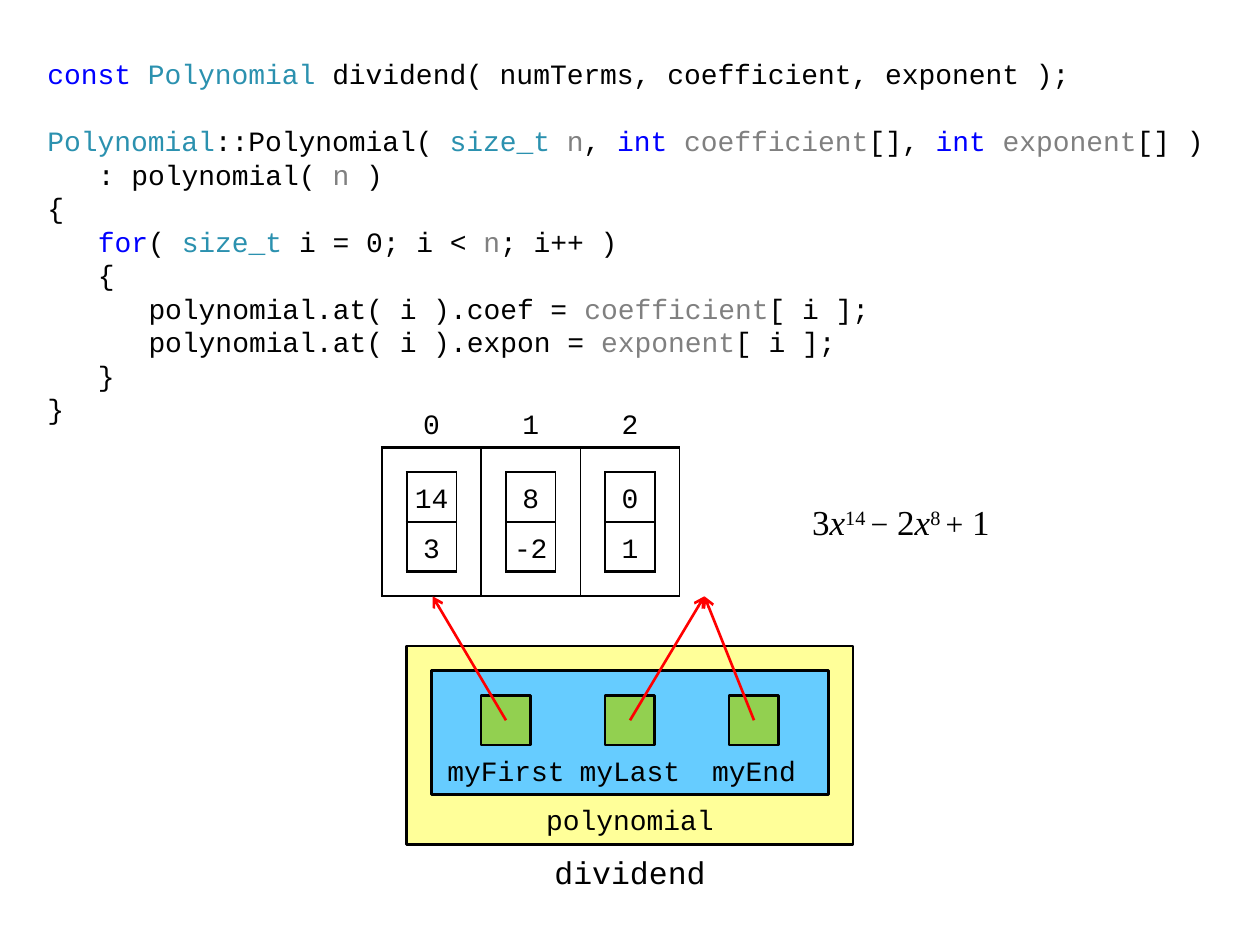
"""Build the slide that shows how a Polynomial object is constructed."""
from lxml import etree
from pptx import Presentation, util as u
from pptx.dml.color import RGBColor
from pptx.enum import shapes, text
from pptx.oxml import parse_xml
from pptx.oxml.ns import nsdecls, qn

PX = 7200
STEP = 25
THEME = {
    "ink": "000000", "keyword": "0000FF", "type": "2B91AF", "param": "808080",
    "object": "FFFF99", "vector": "66CCFF", "pointer": "92D050", "arrow": "FF0000",
    "code_font": "Courier New", "math_font": "Times New Roman",
    "code": 16, "name": 18, "math": 20, "code_line": 19.14, "line": 1.5, "thin": 1,
}
CENTER, RIGHT = text.PP_ALIGN.CENTER, text.PP_ALIGN.RIGHT
MIDDLE = text.MSO_ANCHOR.MIDDLE


def write(para, spans, size=THEME["code"], font=THEME["code_font"], **layout):
    """Add (text, colour role, extra font values) spans to a paragraph."""
    for key, value in layout.items():
        setattr(para, key, value)
    for words, role, extra in spans:
        span = para.add_run()
        span.text = words
        for key, value in {"name": font, "size": u.Pt(size), **extra}.items():
            setattr(span.font, key, value)
        span.font.color.rgb = RGBColor.from_string(THEME[role])
        if "italic" not in extra and font == THEME["math_font"]:
            span.font.italic = False


def add_grid(page, left, top, widths, heights, rows, borders):
    """Add a table whose cells take (text, {side: width}) pairs."""
    frame = page.shapes.add_table(len(heights), len(widths), left * PX, top * PX,
                                  sum(widths) * PX, sum(heights) * PX)
    grid = frame.table
    grid.first_row = grid.horz_banding = False
    for column, width in zip(grid.columns, widths):
        column.width = width * PX
    for row, height in zip(grid.rows, heights):
        row.height = height * PX
    for r, words in enumerate(rows):
        for c, word in enumerate(words):
            cell = grid.cell(r, c)
            for key in ("margin_left", "margin_right", "margin_top", "margin_bottom"):
                setattr(cell, key, 0)
            cell.vertical_anchor = MIDDLE
            spans = [(word, "ink", {})] if word else []
            write(cell.text_frame.paragraphs[0], spans, alignment=CENTER, line_spacing=1.25)
            props = cell._tc.get_or_add_tcPr()
            for side, points in zip("LRTB", borders[r][c]):
                paint = (f'<a:solidFill><a:srgbClr val="{THEME["ink"]}"/></a:solidFill>'
                         if points else "<a:noFill/>")
                props.append(parse_xml(f'<a:ln{side} {nsdecls("a")} w="{u.Pt(points)}">'
                                       f'{paint}</a:ln{side}>'))
            cell.fill.background()


deck = Presentation()
deck.slide_width, deck.slide_height = u.Inches(10), u.Inches(7.5)
page = deck.slides.add_slide(deck.slide_layouts[1])
title = page.shapes.title
title._element.getparent().remove(title._element)

code = [
    (0, [("const ", "keyword"), ("Polynomial ", "type"),
         ("dividend( numTerms, coefficient, exponent );", "ink")]),
    (0, [("Polynomial", "type"), ("::Polynomial( ", "ink"), ("size_t ", "type"),
         ("n", "param"), (", ", "ink"), ("int ", "keyword"), ("coefficient", "param"),
         ("[], ", "ink"), ("int ", "keyword"), ("exponent", "param"), ("[] )", "ink")]),
    (1, [(": polynomial( ", "ink"), ("n", "param"), (" )", "ink")]),
    (0, [("{", "ink")]),
    (1, [("for", "keyword"), ("( ", "ink"), ("size_t", "type"), (" i = 0; i < ", "ink"),
         ("n", "param"), ("; i++ )", "ink")]),
    (1, [("{", "ink")]),
    (2, [("polynomial.at( i ).coef = ", "ink"), ("coefficient", "param"), ("[ i ];", "ink")]),
    (2, [("polynomial.at( i ).expon = ", "ink"), ("exponent", "param"), ("[ i ];", "ink")]),
    (1, [("}", "ink")]),
    (0, [("}", "ink")]),
]
listing = page.placeholders[1]
for key, value in {"left": 35, "top": 51, "width": 1200, "height": 400}.items():
    setattr(listing, key, value * PX)
listing.text_frame.auto_size = text.MSO_AUTO_SIZE.NONE
listing.text_frame.word_wrap = True
for number, (depth, spans) in enumerate(code):
    para = listing.text_frame.paragraphs[0] if number == 0 else listing.text_frame.add_paragraph()
    gap = THEME["code_line"] if number == 1 else 0
    write(para, [(*span, {}) for span in spans], space_before=u.Pt(gap),
          line_spacing=u.Pt(THEME["code_line"]))
    props = para._p.get_or_add_pPr()
    props.set("marL", str(depth * 51 * PX))
    props.set("indent", "0")
    etree.SubElement(props, qn("a:buNone"))

thick, thin = THEME["line"], THEME["thin"]
terms = [("14", "3"), ("8", "-2"), ("0", "1")]
slots = [(thin if i else thick, thin, thick, thick) for i in range(3)]
add_grid(page, 385, 401, [4 * STEP] * 3, [2 * STEP, 6 * STEP],
         [["0", "1", "2"], [""] * 3], [[(0, 0, 0, thick)] * 3, slots])
for i, term in enumerate(terms):
    add_grid(page, 410 + 4 * STEP * i, 476, [2 * STEP], [2 * STEP] * 2,
             [[word] for word in term], [[slots[i]]] * 2)

boxes = [("object", 410, 651, 450, 200), ("vector", 435, 676, 400, 125)]
boxes += [("pointer", left, 701, 50, 50) for left in (485, 610, 735)]
for role, *at in boxes:
    box = page.shapes.add_shape(shapes.MSO_SHAPE.RECTANGLE, *[n * PX for n in at])
    box.shadow.inherit = False
    box.fill.solid()
    box.fill.fore_color.rgb = RGBColor.from_string(THEME[role])
    box.line.color.rgb = RGBColor.from_string(THEME["ink"])
    box.line.width = u.Pt(thick)

italic, raised, sign = {"italic": True}, 30000, {"size": u.Pt(THEME["name"])}
formula = [("3", {}), ("x", italic), ("14 ", {}), ("−", sign), (" 2", {}),
           ("x", italic), ("8 ", {}), ("+", sign), (" 1", {})]
math = {"size": THEME["math"], "font": THEME["math_font"], "alignment": RIGHT}
labels = [((760, 501, 250, 50), [(words, "ink", extra) for words, extra in formula], 0, math)]
for name, left, top, width, size in [
        ("myFirst", 435, 751, 150, "code"), ("myLast", 560, 751, 150, "code"),
        ("myEnd", 685, 751, 150, "code"), ("polynomial", 535, 801, 200, "code"),
        ("dividend", 535, 851, 200, "name")]:
    labels.append(((left, top, width, 50), [(name, "ink", {})],
                   0 if name == "dividend" else 0.05,
                   {"size": THEME[size], "alignment": CENTER}))
for at, spans, bottom, style in labels:
    box = page.shapes.add_textbox(*[n * PX for n in at])
    frame = box.text_frame
    for key, value in {"word_wrap": True, "vertical_anchor": MIDDLE,
                       "margin_top": u.Inches(0 if style is math else 0.05),
                       "margin_bottom": u.Inches(bottom)}.items():
        setattr(frame, key, value)
    write(frame.paragraphs[0], spans, **style)
    for span in frame.paragraphs[0].runs:
        if span.text in ("14 ", "8 "):
            span.font._element.set("baseline", str(raised))

for start, end in [(760, 710), (635, 710), (510, 436)]:
    arrow = page.shapes.add_connector(shapes.MSO_CONNECTOR.STRAIGHT,
                                      start * PX, 726 * PX, end * PX, 601 * PX)
    arrow.line.color.rgb = RGBColor.from_string(THEME["arrow"])
    arrow.line.width = u.Pt(thick)
    etree.SubElement(arrow.line._get_or_add_ln(), qn("a:tailEnd"), type="arrow")
    etree.SubElement(arrow._element.spPr, qn("a:effectLst"))

deck.save("out.pptx")
